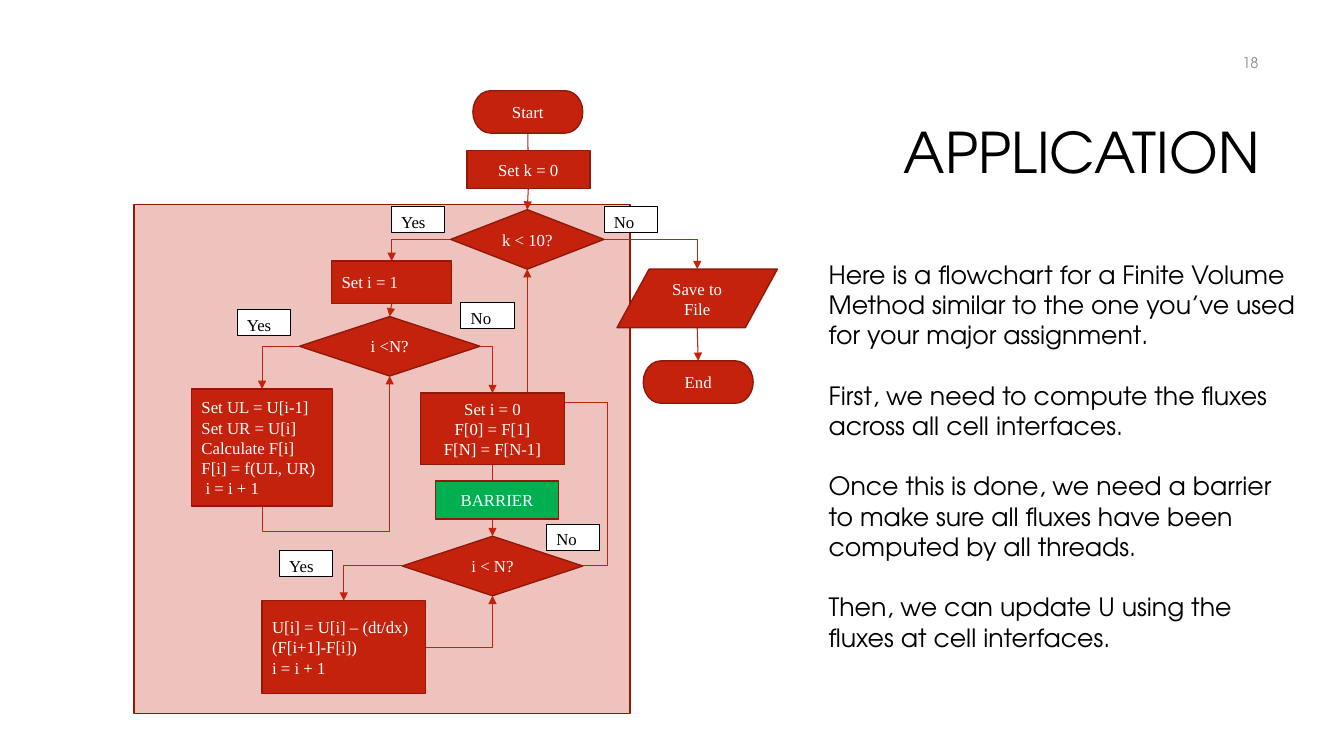
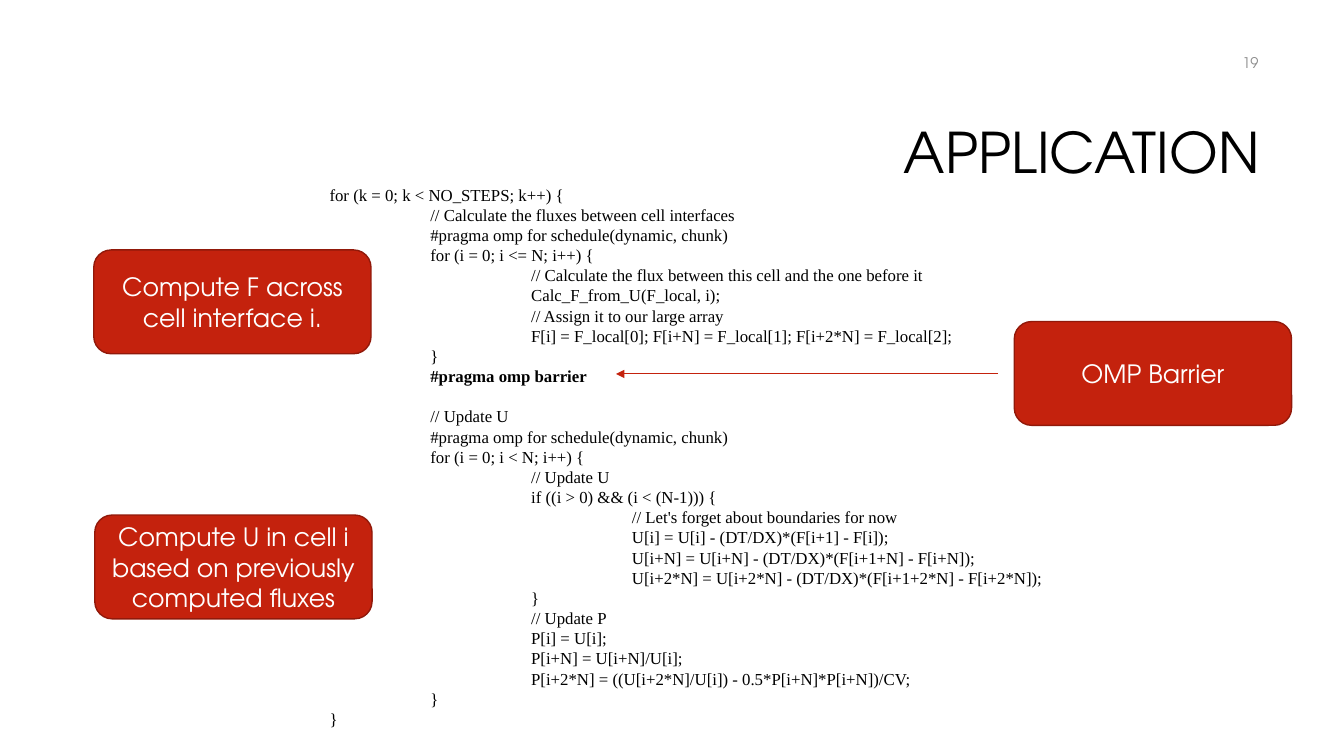
import pptx
import pptx.util
import pptx.dml.color
import pptx.enum.shapes
import pptx.enum.text
import pptx.oxml.ns
import lxml.etree

Inches = pptx.util.Inches
Pt = pptx.util.Pt
SHAPE = pptx.enum.shapes.MSO_SHAPE
CONNECTOR = pptx.enum.shapes.MSO_CONNECTOR
ALIGN = pptx.enum.text.PP_ALIGN
ANCHOR = pptx.enum.text.MSO_ANCHOR
qn = pptx.oxml.ns.qn

RED, DARK_RED, GREEN = "C4220D", "91190A", "00B050"
BLACK, WHITE, GREY = "000000", "FFFFFF", "8C8C8C"
SANS, SERIF = "TeX Gyre Adventor", "Times New Roman"

NODES = {
    "start": (SHAPE.FLOWCHART_TERMINATOR, (3.36, 0, 1.09, 0.42), "Start"),
    "set_k": (SHAPE.FLOWCHART_PROCESS, (3.3, 0.59, 1.22, 0.38), "Set k = 0"),
    "k_test": (SHAPE.FLOWCHART_DECISION, (3.14, 1.18, 1.52, 0.59), "k < 10?"),
    "save": (SHAPE.FLOWCHART_DATA, (4.79, 1.77, 1.59, 0.58), "Save to File"),
    "end": (SHAPE.FLOWCHART_TERMINATOR, (5.05, 2.68, 1.09, 0.42), "End"),
    "set_i": (SHAPE.FLOWCHART_PROCESS, (1.96, 1.69, 1.19, 0.42), "Set i = 1"),
    "flux_test": (SHAPE.FLOWCHART_DECISION, (1.64, 2.24, 1.79, 0.59), "i <N?"),
    "flux": (SHAPE.FLOWCHART_PROCESS, (0.57, 2.96, 1.4, 1.16),
             "Set UL = U[i-1]\nSet UR = U[i]\nCalculate F[i]\nF[i] = f(UL, UR)\n i = i + 1"),
    "reset": (SHAPE.FLOWCHART_PROCESS, (2.84, 3, 1.43, 0.71),
              "Set i = 0\nF[0] = F[1]\nF[N] = F[N-1]"),
    "barrier": (SHAPE.FLOWCHART_PROCESS, (2.99, 3.87, 1.22, 0.38), "BARRIER"),
    "update_test": (SHAPE.FLOWCHART_DECISION, (2.66, 4.42, 1.79, 0.59), "i < N?"),
    "update": (SHAPE.FLOWCHART_PROCESS, (1.27, 5.06, 1.62, 0.92),
               "U[i] = U[i] – (dt/dx)(F[i+1]-F[i])\ni = i + 1"),
}
LEFT_ALIGNED = {"set_i", "flux", "update"}
STRAIGHT_FLOWS = [
    ("start", "bottom", "set_k", "centre"), ("set_k", "bottom", "k_test", "top"),
    ("save", "bottom", "end", "top"), ("set_i", "bottom", "flux_test", "top"),
    ("reset", "bottom", "update_test", "top"),
]
BENT_FLOWS = [
    ("k_test", "right", "save", "top"), ("k_test", "left", "set_i", "top"),
    ("flux_test", "left", "flux", "top"), ("flux_test", "right", "reset", "top"),
    ("update_test", "left", "update", "top"), ("update", "right", "update_test", "bottom"),
]
LOOP_FLOWS = [
    ("flux", "bottom", "flux_test", "bottom", (0, 0.25)),
    ("update_test", "right", "k_test", "bottom", (0.25, -1.62)),
]
ANSWERS = {
    "Yes": [(2.55, 1.15), (1.02, 2.17), (1.44, 4.56)],
    "No": [(4.66, 1.15), (3.24, 2.1), (4.09, 4.3)],
}
EXPLANATION = """Here is a flowchart for a Finite Volume Method similar to the one you’ve used for your major assignment.
First, we need to compute the fluxes across all cell interfaces.
Once this is done, we need a barrier to make sure all fluxes have been computed by all threads.
Then, we can update U using the fluxes at cell interfaces."""
FLUX_CODE = """for (k = 0; k < NO_STEPS; k++) {
\t// Calculate the fluxes between cell interfaces
\t#pragma omp for schedule(dynamic, chunk)
\tfor (i = 0; i <= N; i++) {
\t\t// Calculate the flux between this cell and the one before it
\t\tCalc_F_from_U(F_local, i);
\t\t// Assign it to our large array
\t\tF[i] = F_local[0]; F[i+N] = F_local[1]; F[i+2*N] = F_local[2];
\t}"""
BARRIER_CODE = "\t#pragma omp barrier"
UPDATE_CODE = """\t// Update U
\t#pragma omp for schedule(dynamic, chunk)
\tfor (i = 0; i < N; i++) {
\t\t// Update U
\t\tif ((i > 0) && (i < (N-1))) {
\t\t\t// Let's forget about boundaries for now
\t\t\tU[i] = U[i] - (DT/DX)*(F[i+1] - F[i]);
\t\t\tU[i+N] = U[i+N] - (DT/DX)*(F[i+1+N] - F[i+N]);
\t\t\tU[i+2*N] = U[i+2*N] - (DT/DX)*(F[i+1+2*N] - F[i+2*N]);
\t\t}
\t\t// Update P
\t\tP[i] = U[i];
\t\tP[i+N] = U[i+N]/U[i];
\t\tP[i+2*N] = ((U[i+2*N]/U[i]) - 0.5*P[i+N]*P[i+N])/CV;
\t}
}"""


def rgb(value):
    """Turn a hex string into a colour."""
    return pptx.dml.color.RGBColor.from_string(value)


def write(shape, text, size=12, font=SERIF, color=BLACK, align=ALIGN.LEFT,
          anchor=ANCHOR.TOP, spacing=None, gap=0, bold_line=None):
    """Fill a shape with one paragraph per line, indenting by leading tabs."""
    frame = shape.text_frame
    frame.word_wrap = True
    frame.vertical_anchor = anchor
    for index, line in enumerate(text.split("\n")):
        paragraph = frame.add_paragraph() if index else frame.paragraphs[0]
        content = line.lstrip("\t")
        depth = len(line) - len(content)
        if depth:
            paragraph._p.get_or_add_pPr().set("marL", str(Inches(depth)))
        paragraph.alignment = align
        paragraph.line_spacing = spacing
        paragraph.space_after = Pt(gap)
        run = paragraph.add_run()
        run.text = content
        run.font.size = Pt(size)
        run.font.name = font
        run.font.bold = line == bold_line
        run.font.color.rgb = rgb(color)


def add_text(slide, box, text, **style):
    """Add a text box at the given box."""
    area = slide.shapes.add_textbox(*map(Inches, box))
    write(area, text, **style)
    return area


def add_block(slide, kind, box, text="", fill=RED, line=DARK_RED, width=1, **style):
    """Add a filled, outlined shape with text."""
    block = slide.shapes.add_shape(kind, *map(Inches, box))
    block.shadow.inherit = False
    block.fill.solid()
    block.fill.fore_color.rgb = rgb(fill)
    block.line.color.rgb = rgb(line)
    block.line.width = Pt(width)
    if text:
        write(block, text, **style)
    return block


def add_arrow(slide, start, end, preset=None, adjustments=()):
    """Add a red arrow, straight or following a bent preset."""
    kind = CONNECTOR.ELBOW if preset else CONNECTOR.STRAIGHT
    arrow = slide.shapes.add_connector(kind, *map(Inches, (*start, *end)))
    arrow.line.color.rgb = rgb(RED)
    arrow.line.width = Pt(0.75)
    properties = arrow._element.spPr
    lxml.etree.SubElement(properties.find(qn("a:ln")), qn("a:tailEnd"), type="triangle")
    lxml.etree.SubElement(properties, qn("a:effectLst"))
    if preset:
        geometry = properties.find(qn("a:prstGeom"))
        geometry.set("prst", preset)
        guides = geometry.find(qn("a:avLst"))
        for number, share in enumerate(adjustments, 1):
            lxml.etree.SubElement(guides, qn("a:gd"), name=f"adj{number}",
                                  fmla=f"val {round(share * 100000)}")


def add_page(deck, number):
    """Add a blank slide with the shared title and page number."""
    slide = deck.slides.add_slide(deck.slide_layouts[6])
    add_text(slide, (3.17, 0.84, 9.42, 1.41), "APPLICATION", size=40, font=SANS,
             align=ALIGN.RIGHT, anchor=ANCHOR.MIDDLE, spacing=0.9)
    add_text(slide, (9.58, 0.42, 3, 0.4), str(number), size=10.5, font=SANS,
             color=GREY, align=ALIGN.RIGHT, anchor=ANCHOR.MIDDLE)
    return slide


def add_flowchart(slide, left, top):
    """Draw the flowchart from its top left corner."""
    def place(x, y, w, h):
        """Shift a box to the chart's corner."""
        return left + x, top + y, w, h

    def site(node, side):
        """Find the point on one side of a node."""
        x, y, w, h = place(*NODES[node][1])
        across, down = {"top": (0.5, 0), "bottom": (0.5, 1), "left": (0, 0.5),
                        "right": (1, 0.5), "centre": (0.5, 0.5)}[side]
        return x + across * w, y + down * h

    panel = add_block(slide, SHAPE.RECTANGLE, place(0, 1.13, 4.92, 5.05))
    tint = panel._element.spPr.find(qn("a:solidFill"))[0]
    lxml.etree.SubElement(tint, qn("a:alpha"), val="27000")
    for source, leave, target, enter in STRAIGHT_FLOWS:
        add_arrow(slide, site(source, leave), site(target, enter))
    for source, leave, target, enter in BENT_FLOWS:
        add_arrow(slide, site(source, leave), site(target, enter), "bentConnector2")
    for source, leave, target, enter, turn in LOOP_FLOWS:
        start, end = site(source, leave), site(target, enter)
        shares = [step / (b - a) for step, a, b in zip(turn, start, end)]
        add_arrow(slide, start, end, "bentConnector4", shares)
    for name, (kind, box, text) in NODES.items():
        add_block(slide, kind, place(*box), text, color=WHITE, anchor=ANCHOR.MIDDLE,
                  fill=GREEN if name == "barrier" else RED,
                  align=ALIGN.LEFT if name in LEFT_ALIGNED else ALIGN.CENTER)
    for answer, corners in ANSWERS.items():
        for corner in corners:
            add_block(slide, SHAPE.RECTANGLE, place(*corner, 0.53, 0.26), answer,
                      fill=WHITE, line=BLACK, width=0.5)


def add_code(slide, left, top):
    """Write the listing in two parts with a blank line after the barrier."""
    listing = add_text(slide, (left, top, 10.1, 5.55),
                       "\n".join((FLUX_CODE, BARRIER_CODE, UPDATE_CODE)),
                       bold_line=BARRIER_CODE)
    barrier_line = FLUX_CODE.count("\n") + 1
    listing.text_frame.paragraphs[barrier_line].space_after = Pt(14.4)


def add_callouts(slide):
    """Place the rounded notes beside the listing and the barrier arrow."""
    notes = [(0.93, 2.48, "Compute F across cell interface i."),
             (0.94, 5.11, "Compute U in cell i based on previously computed fluxes"),
             (10.06, 3.19, "OMP Barrier")]
    for left, top, note in notes:
        add_block(slide, SHAPE.ROUNDED_RECTANGLE, (left, top, 2.75, 1.03), note, size=18,
                  font=SANS, color=WHITE, align=ALIGN.CENTER, anchor=ANCHOR.MIDDLE)
    add_arrow(slide, (9.9, 3.71), (6.11, 3.71))


def main():
    """Build and save both slides."""
    deck = pptx.Presentation()
    deck.slide_width, deck.slide_height = Inches(13.33), Inches(7.5)
    chart_page = add_page(deck, 18)
    add_flowchart(chart_page, 1.33, 0.9)
    add_text(chart_page, (8.12, 2.52, 4.89, 4.04), EXPLANATION, size=18, font=SANS, gap=21.6)
    code_page = add_page(deck, 19)
    add_code(code_page, 3.17, 1.78)
    add_callouts(code_page)
    deck.save("out.pptx")


if __name__ == "__main__":
    main()
